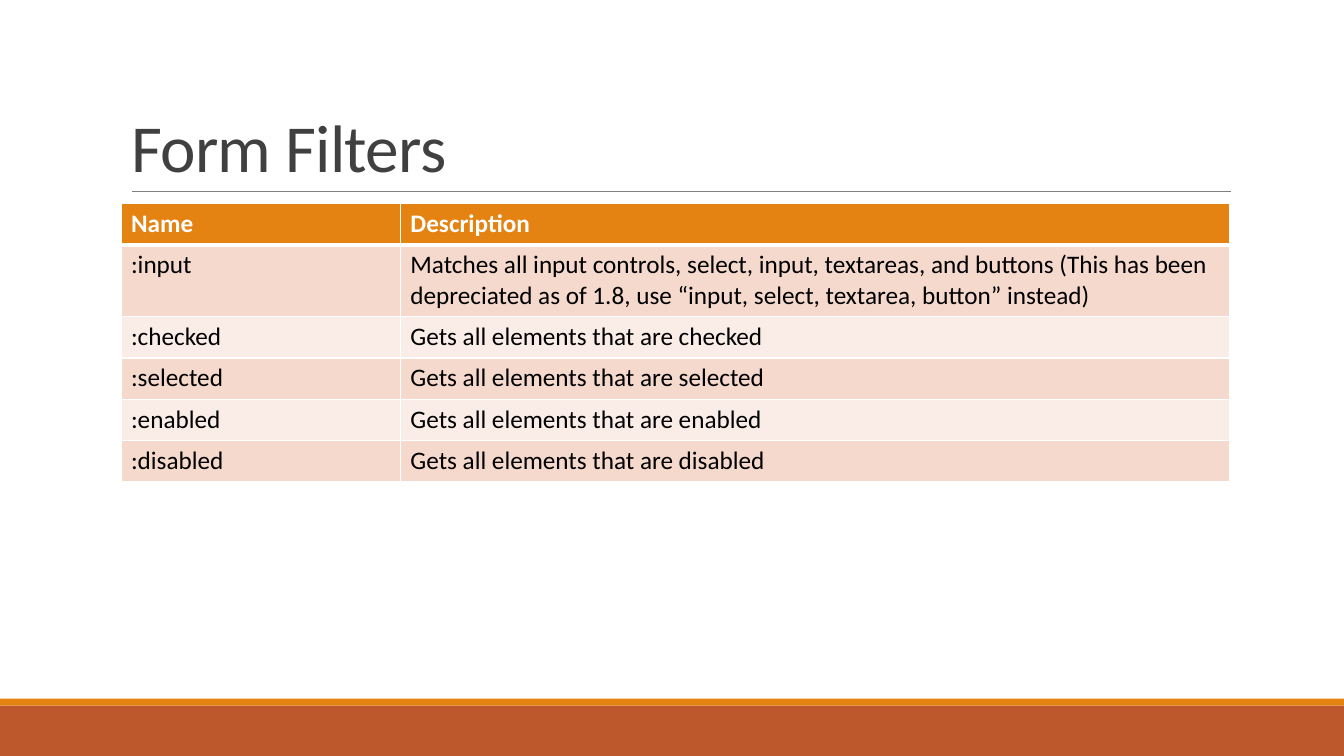
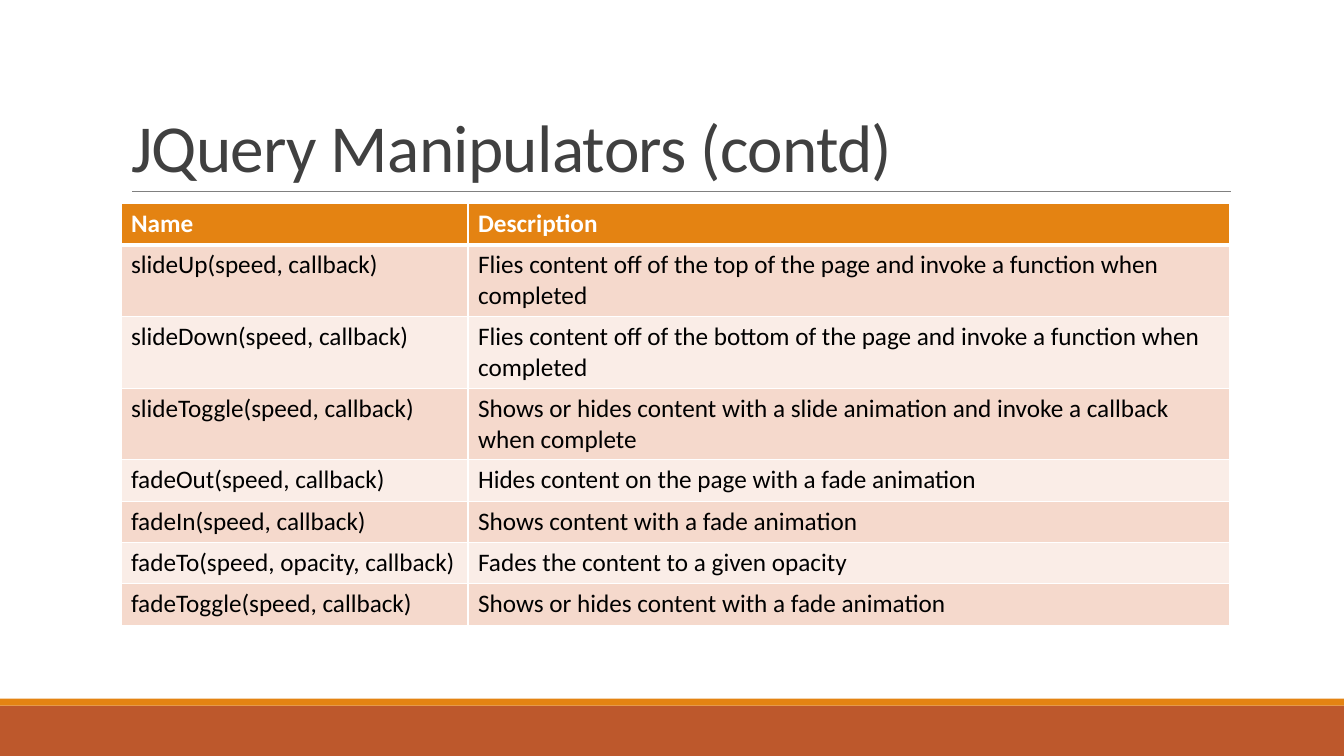
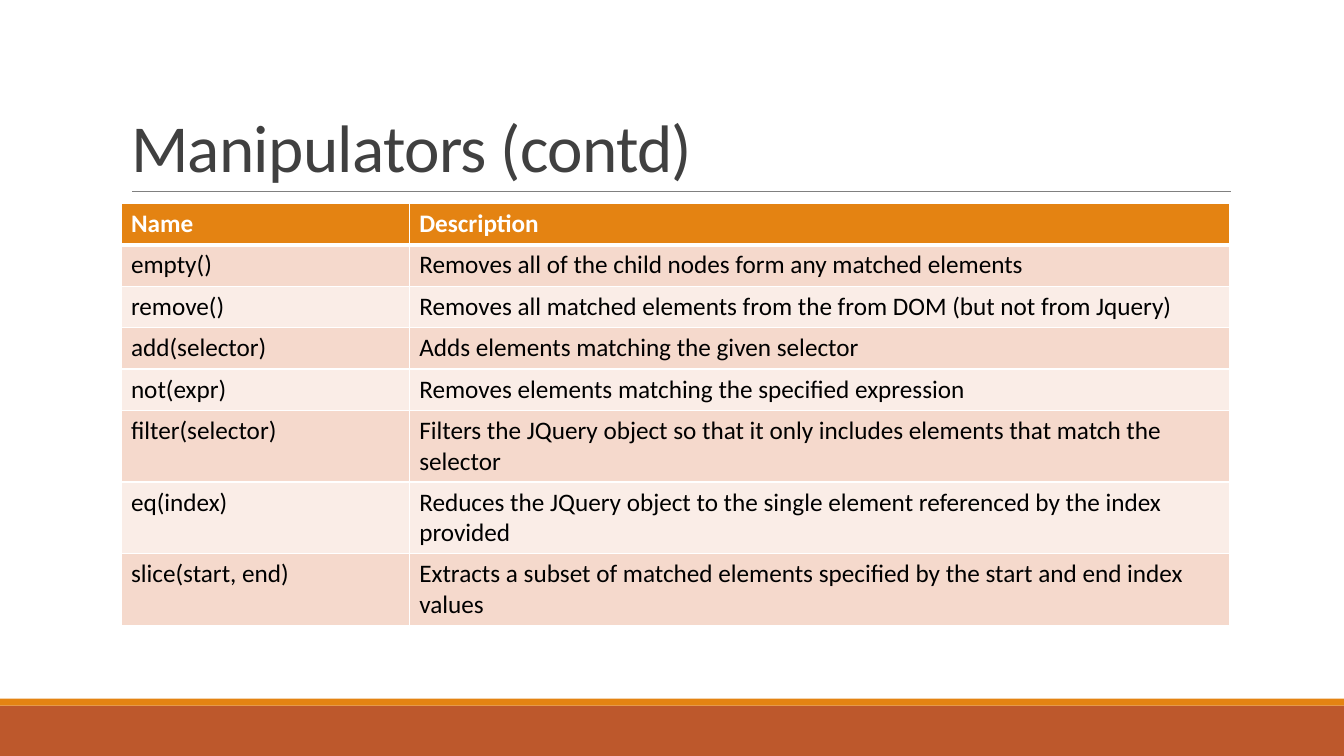
from dataclasses import dataclass

from lxml.etree import SubElement
from pptx import Presentation
from pptx.dml.color import RGBColor
from pptx.enum.shapes import MSO_CONNECTOR, MSO_SHAPE
from pptx.enum.text import MSO_ANCHOR, MSO_AUTO_SIZE, PP_ALIGN
from pptx.oxml.ns import qn
from pptx.util import Inches, Pt


@dataclass(frozen=True)
class Theme:
    font: str = "Calibri"
    title_size: int = 48
    table_size: int = 18
    title_ink: str = "404040"
    body_ink: str = "000000"
    white: str = "FFFFFF"
    rule: str = "808080"
    orange: str = "E48312"
    rust: str = "BD582C"
    row_tints: tuple = ("F5D9CC", "FAEDE7")
    thin: int = 1
    thick: int = 3


# Positions in percent of the slide's width (x) or height (y)
LEFT, WIDTH = 9, 82.5
RULE_START, RULE_END = 9.83, 91.58
TITLE_TOP, RULE_Y = 4.13, 25.33
TABLE_TOP, ROW_HEIGHT = 26.93, 5.47
STRIPE_TOP, FOOTER_TOP = 92.4, 93.33


class Deck:
    def __init__(self, theme):
        self.theme = theme
        self.prs = Presentation()
        self.prs.slide_width, self.prs.slide_height = Inches(13.33), Inches(7.5)
        self.slide = None

    def x(self, percent):
        return round(self.prs.slide_width * percent / 100)

    def y(self, percent):
        return round(self.prs.slide_height * percent / 100)

    def style(self, paragraph, size, ink, bold=False):
        font = paragraph.font
        font.name, font.size, font.bold = self.theme.font, Pt(size), bold
        font.color.rgb = RGBColor.from_string(ink)

    def new_slide(self, heading):
        self.slide = self.prs.slides.add_slide(self.prs.slide_layouts[5])
        self.band(FOOTER_TOP, 100, self.theme.rust)
        self.band(STRIPE_TOP, FOOTER_TOP, self.theme.orange)
        self.title_rule()
        self.title(heading)

    def band(self, top, bottom, color):
        band = self.slide.shapes.add_shape(
            MSO_SHAPE.RECTANGLE, 0, self.y(top), self.x(100), self.y(bottom - top))
        band.shadow.inherit = False
        band.fill.solid()
        band.fill.fore_color.rgb = RGBColor.from_string(color)
        band.line.fill.background()

    def title_rule(self):
        rule = self.slide.shapes.add_connector(
            MSO_CONNECTOR.STRAIGHT, self.x(RULE_START), self.y(RULE_Y),
            self.x(RULE_END), self.y(RULE_Y))
        rule.line.color.rgb = RGBColor.from_string(self.theme.rule)
        rule.line.width = Pt(0.5)
        SubElement(rule._element.spPr, qn("a:effectLst"))

    def title(self, heading):
        title = self.slide.shapes.title
        title.left, title.top = self.x(LEFT), self.y(TITLE_TOP)
        title.width, title.height = self.x(WIDTH), self.y(RULE_Y - TITLE_TOP)
        frame = title.text_frame
        frame.text = heading
        frame.auto_size = MSO_AUTO_SIZE.NONE
        frame.vertical_anchor = MSO_ANCHOR.BOTTOM
        paragraph = frame.paragraphs[0]
        paragraph.alignment = PP_ALIGN.LEFT
        paragraph.line_spacing = 0.85
        self.style(paragraph, self.theme.title_size, self.theme.title_ink)
        # Slightly tightened letter spacing
        paragraph.runs[0]._r.get_or_add_rPr().set("spc", "-50")

    def table(self, name_share, entries):
        """Two-column table; name_share is the first column's percent."""
        rows = [("Name", "Description"), *entries]
        table = self.slide.shapes.add_table(
            len(rows), 2, self.x(LEFT), self.y(TABLE_TOP),
            self.x(WIDTH), self.y(ROW_HEIGHT * len(rows))).table
        for column, share in zip(table.columns, (name_share, 100 - name_share)):
            column.width = self.x(WIDTH * share / 100)
        for r, texts in enumerate(rows):
            for c, text in enumerate(texts):
                self.cell(table.cell(r, c), text, r)

    def cell(self, cell, text, row):
        theme = self.theme
        header = row == 0
        cell.text = text
        self.style(cell.text_frame.paragraphs[0], theme.table_size,
                   theme.white if header else theme.body_ink, header)
        # The header is set off from the body by a thicker line
        self.border(cell, "L", theme.thin)
        self.border(cell, "R", theme.thin)
        self.border(cell, "T", theme.thick if row == 1 else theme.thin)
        self.border(cell, "B", theme.thick if header else theme.thin)
        cell.fill.solid()
        cell.fill.fore_color.rgb = RGBColor.from_string(
            theme.orange if header else theme.row_tints[(row - 1) % 2])

    def border(self, cell, side, width):
        line = SubElement(cell._tc.get_or_add_tcPr(), qn("a:ln" + side), w=str(Pt(width)))
        fill = SubElement(line, qn("a:solidFill"))
        SubElement(fill, qn("a:srgbClr"), val=self.theme.white)


# Heading, share of the name column, entries
SLIDES = [
    ("Form Filters", 25.2, [
        (":input", "Matches all input controls, select, input, textareas, and buttons "
                   "(This has been depreciated as of 1.8, use “input, select, textarea, "
                   "button” instead)"),
        (":checked", "Gets all elements that are checked"),
        (":selected", "Gets all elements that are selected"),
        (":enabled", "Gets all elements that are enabled"),
        (":disabled", "Gets all elements that are disabled"),
    ]),
    ("JQuery Manipulators (contd)", 31.3, [
        ("slideUp(speed, callback)",
         "Flies content off of the top of the page and invoke a function when completed"),
        ("slideDown(speed, callback)",
         "Flies content off of the bottom of the page and invoke a function when completed"),
        ("slideToggle(speed, callback)",
         "Shows or hides content with a slide animation and invoke a callback when complete"),
        ("fadeOut(speed, callback)", "Hides content on the page with a fade animation"),
        ("fadeIn(speed, callback)", "Shows content with a fade animation"),
        ("fadeTo(speed, opacity, callback)", "Fades the content to a given opacity"),
        ("fadeToggle(speed, callback)", "Shows or hides content with a fade animation"),
    ]),
    ("Manipulators (contd)", 26, [
        ("empty()", "Removes all of the child nodes form any matched elements"),
        ("remove()", "Removes all matched elements from the from DOM (but not from Jquery)"),
        ("add(selector)", "Adds elements matching the given selector"),
        ("not(expr)", "Removes elements matching the specified expression"),
        ("filter(selector)",
         "Filters the JQuery object so that it only includes elements that match the selector"),
        ("eq(index)",
         "Reduces the JQuery object to the single element referenced by the index provided"),
        ("slice(start, end)",
         "Extracts a subset of matched elements specified by the start and end index values"),
    ]),
]


def main():
    deck = Deck(Theme())
    for heading, name_share, entries in SLIDES:
        deck.new_slide(heading)
        deck.table(name_share, entries)
    deck.prs.save("out.pptx")


if __name__ == "__main__":
    main()
